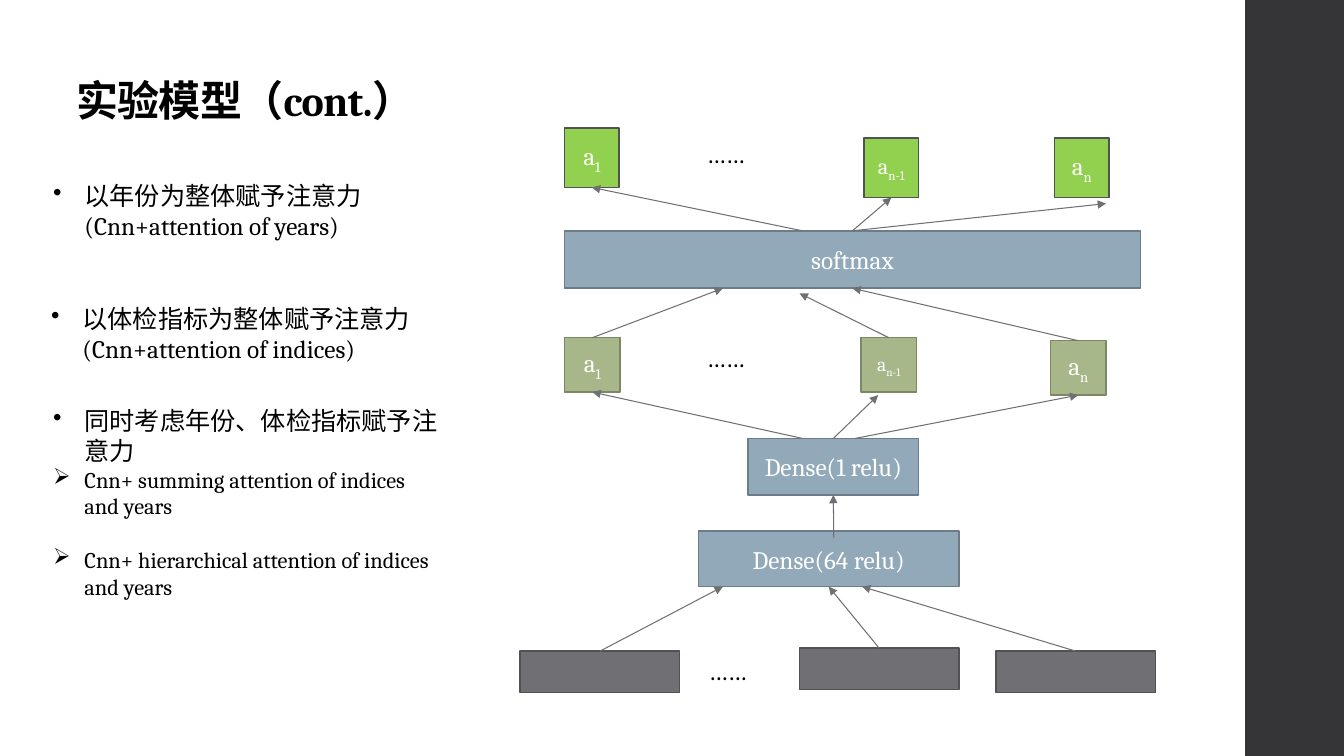
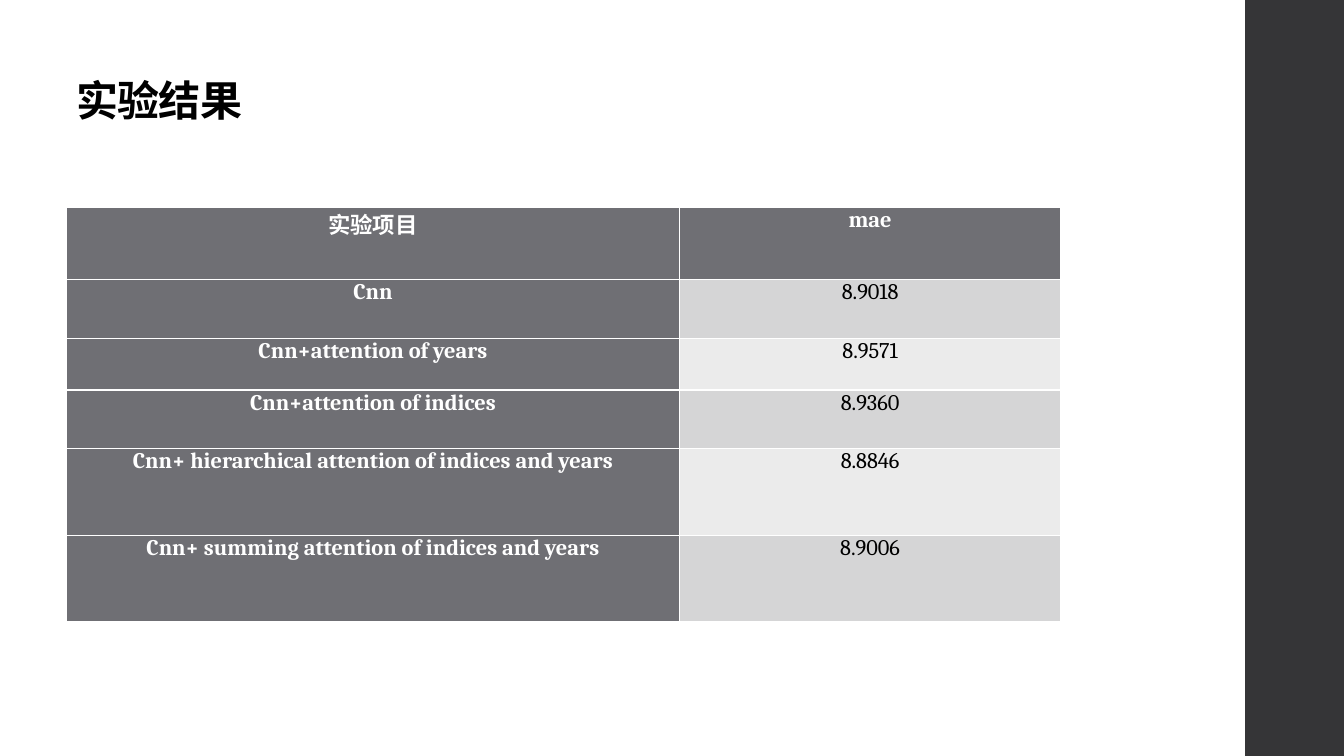
from dataclasses import dataclass

from lxml.etree import SubElement
from pptx import Presentation
from pptx.dml.color import RGBColor as Color
from pptx.enum.shapes import MSO_CONNECTOR as Connector, MSO_SHAPE as Shape
from pptx.enum.text import MSO_ANCHOR as Anchor, PP_ALIGN as Align
from pptx.oxml.ns import qn
from pptx.util import Inches, Pt

TOP, BOTTOM = 0, 2  # connection sites of a rectangle


@dataclass(frozen=True)
class Theme:
    font: str = "Cambria"
    black: str = "000000"
    white: str = "FFFFFF"
    band: str = "353537"
    gray: str = "6F6F74"
    gray_edge: str = "525256"
    blue: str = "92A9B9"
    blue_edge: str = "6C7D89"
    sage: str = "A7B789"
    sage_edge: str = "7C8765"
    green: str = "92D050"
    stripes: tuple = ("D5D5D6", "EBEBEB")
    title_size: float = 30
    body_size: float = 18
    small_size: float = 16
    tiny_size: float = 14
    edge_width: float = 1.1
    arrow_width: float = 0.75


@dataclass(frozen=True)
class Box:
    left: float
    top: float
    width: float
    height: float

    def inside(self, left, top, width, height):
        return Box(self.left + left, self.top + top, width, height)

    def point(self, x, y):
        return Inches(self.left + x), Inches(self.top + y)

    def lengths(self):
        return [Inches(v) for v in (self.left, self.top, self.width, self.height)]


THEME = Theme()
TITLE_BOX = Box(0.66, 0.47, 10.53, 0.83)
BAND_BOX = Box(12.35, 0, 0.98, 7.5)


# Shared helpers
def set_values(target, values):
    for name, value in values.items():
        setattr(target, name, value)


def add_run(paragraph, text, size, color=THEME.black, bold=False):
    run = paragraph.add_run()
    run.text = text
    set_values(run.font, {"name": THEME.font, "size": Pt(size), "bold": bold})
    run.font.color.rgb = Color.from_string(color)
    return run._r.get_or_add_rPr()


def add_text_box(slide, box, **values):
    frame = slide.shapes.add_textbox(*box.lengths()).text_frame
    set_values(frame, {"word_wrap": True, **values})
    return frame


def add_rectangle(slide, box, fill, edge=None):
    shape = slide.shapes.add_shape(Shape.RECTANGLE, *box.lengths())
    shape.shadow.inherit = False
    shape.fill.solid()
    shape.fill.fore_color.rgb = Color.from_string(fill)
    if edge:
        shape.line.color.rgb = Color.from_string(edge)
        shape.line.width = Pt(THEME.edge_width)
    else:
        shape.line.fill.background()
    return shape


def add_node(slide, box, fill, edge, text, size=THEME.body_size, subscript=""):
    shape = add_rectangle(slide, box, fill, edge)
    shape.text_frame.vertical_anchor = Anchor.MIDDLE
    paragraph = shape.text_frame.paragraphs[0]
    paragraph.alignment = Align.CENTER
    if text:
        add_run(paragraph, text, size, THEME.white)
    if subscript:
        add_run(paragraph, subscript, size, THEME.white).set("baseline", "-25000")
    return shape


def add_arrow(slide, box, start, end):
    """Each end is an (x, y) point in the box or a (shape, site) pair."""
    joined = [not isinstance(place[0], (int, float)) for place in (start, end)]
    points = [box.point(0, 0) if is_joined else box.point(*place)
              for place, is_joined in zip((start, end), joined)]
    connector = slide.shapes.add_connector(Connector.STRAIGHT, *points[0], *points[1])
    if joined[0]:
        connector.begin_connect(*start)
    if joined[1]:
        connector.end_connect(*end)
    connector.line.color.rgb = Color.from_string(THEME.gray)
    connector.line.width = Pt(THEME.arrow_width)
    properties = connector._element.spPr
    SubElement(properties.find(qn("a:ln")), qn("a:tailEnd"), type="triangle")
    SubElement(properties, qn("a:effectLst"))


def add_base_slide(presentation, title):
    slide = presentation.slides.add_slide(presentation.slide_layouts[6])
    add_rectangle(slide, BAND_BOX, THEME.band)
    frame = add_text_box(slide, TITLE_BOX, vertical_anchor=Anchor.BOTTOM)
    paragraph = frame.paragraphs[0]
    paragraph.line_spacing = 0.9
    add_run(paragraph, title, THEME.title_size, bold=True).set("spc", "-50")
    return slide


# Bulleted notes
def add_bullets(slide, box, items):
    frame = add_text_box(slide, box)
    for index, (bullet, text, size, space_before) in enumerate(items):
        paragraph = frame.add_paragraph() if index else frame.paragraphs[0]
        paragraph.space_before = Pt(space_before)
        add_run(paragraph, text, size)
        properties = paragraph._p.get_or_add_pPr()
        properties.set("marL", str(Inches(0.31)))
        properties.set("indent", str(-Inches(0.31)))
        SubElement(properties, qn("a:buChar"), char=bullet)


def add_notes(slide, box):
    body, small = THEME.body_size, THEME.small_size
    add_bullets(slide, box.inside(0.02, 0, 4.03, 1.01), [
        ("•", "以年份为整体赋予注意力(Cnn+attention of years)", body, 0)])
    add_bullets(slide, box.inside(0, 1.22, 4.46, 1.01), [
        ("•", "以体检指标为整体赋予注意力(Cnn+attention of indices)", body, 0)])
    add_bullets(slide, box.inside(0.02, 2.23, 4.03, 2.05), [
        ("•", "同时考虑年份、体检指标赋予注意力", body, 0),
        ("➢", "Cnn+ summing attention of indices and years", small, 0),
        ("➢", "Cnn+ hierarchical attention of indices and years", small, 19)])


# Attention network
def add_row(slide, box, places, size, colors, labels):
    return [add_node(slide, box.inside(*place, *size), *colors, *label)
            for place, label in zip(places, labels)]


def add_network(slide, box):
    blue = (THEME.blue, THEME.blue_edge)
    body = THEME.body_size

    # Layers, from the inputs up to the attention weights
    inputs = add_row(slide, box, [(0, 5.19), (2.77, 5.16), (4.72, 5.19)], (1.58, 0.41),
                     (THEME.gray, THEME.gray_edge), [("",)] * 3)
    wide = add_node(slide, box.inside(1.77, 4, 2.58, 0.55), *blue, "Dense(64 relu)")
    narrow = add_node(slide, box.inside(2.26, 3.08, 1.69, 0.56), *blue, "Dense(1 relu)")
    scores = add_row(slide, box, [(0.44, 2.08), (3.38, 2.08), (5.26, 2.11)], (0.55, 0.54),
                     (THEME.sage, THEME.sage_edge),
                     [("a", body, "1"), ("a", THEME.tiny_size, "n-1"), ("a", body, "n")])
    softmax = add_node(slide, box.inside(0.44, 1.02, 5.71, 0.57), *blue, "softmax")
    weights = add_row(slide, box, [(0.44, 0), (3.41, 0.1), (5.3, 0.1)], (0.54, 0.59),
                      (THEME.green, THEME.gray_edge),
                      [("a", body, "1"), ("a", THEME.small_size, "n-1"), ("a", body, "n")])

    # Ellipses
    for left, top in [(1.77, 5.18), (1.75, 2.08), (1.75, 0.05)]:
        frame = add_text_box(slide, box.inside(left, top, 0.81, 0.4))
        add_run(frame.paragraphs[0], "……", body)

    # Arrows between neighbouring layers
    for start, end in [
        ((inputs[0], TOP), (2.01, 4.55)),
        ((inputs[1], TOP), (wide, BOTTOM)),
        ((inputs[2], TOP), (3.39, 4.55)),
        ((3.11, 4.07), (narrow, BOTTOM)),
        ((2.8, 3.08), (scores[0], BOTTOM)),
        ((narrow, TOP), (3.55, 2.65)),
        ((3.32, 3.08), (scores[2], BOTTOM)),
        ((scores[0], TOP), (2.01, 1.59)),
        ((scores[1], TOP), (2.77, 1.64)),
        ((scores[2], TOP), (softmax, BOTTOM)),
        ((2.8, 1.02), (weights[0], BOTTOM)),
        ((softmax, TOP), (weights[1], BOTTOM)),
        ((softmax, TOP), (5.81, 0.75)),
    ]:
        add_arrow(slide, box, start, end)


# Results table
def add_results(slide, box):
    rows = [
        ("实验项目", "mae"),
        ("Cnn", "8.9018"),
        ("Cnn+attention of years", "8.9571"),
        ("Cnn+attention of indices", "8.9360"),
        ("Cnn+ hierarchical attention of indices and years", "8.8846"),
        ("Cnn+ summing attention of indices and years", "8.9006"),
    ]
    margins = {"margin_left": Inches(0.07), "margin_right": Inches(0.07),
               "margin_top": 0, "margin_bottom": 0}
    table = slide.shapes.add_table(len(rows), 2, *box.lengths()).table
    set_values(table, {"first_row": True, "first_col": True, "horz_banding": False})
    for column, width in zip(table.columns, (6.08, 3.78)):
        column.width = Inches(width)
    for row, height in zip(table.rows, (0.71, 0.59, 0.51, 0.58, 0.86, 0.86)):
        row.height = Inches(height)
    for row_index, texts in enumerate(rows):
        for column_index, text in enumerate(texts):
            heading = row_index == 0 or column_index == 0
            fill = THEME.gray if heading else THEME.stripes[(row_index - 1) % 2]
            cell = table.cell(row_index, column_index)
            set_values(cell, margins)
            cell.fill.solid()
            cell.fill.fore_color.rgb = Color.from_string(fill)
            paragraph = cell.text_frame.paragraphs[0]
            paragraph.alignment = Align.CENTER
            add_run(paragraph, text, THEME.small_size,
                    THEME.white if heading else THEME.black, heading)


# Slides
def build_model_slide(presentation):
    slide = add_base_slide(presentation, "实验模型（cont.）")
    add_network(slide, Box(5.16, 1.27, 6.3, 5.6))
    add_notes(slide, Box(0.41, 1.74, 4.46, 4.28))


def build_results_slide(presentation):
    slide = add_base_slide(presentation, "实验结果")
    add_results(slide, Box(0.66, 2.06, 9.86, 4.11))


def main():
    presentation = Presentation()
    set_values(presentation, {"slide_width": Inches(13.33), "slide_height": Inches(7.5)})
    build_model_slide(presentation)
    build_results_slide(presentation)
    presentation.save("out.pptx")


if __name__ == "__main__":
    main()
